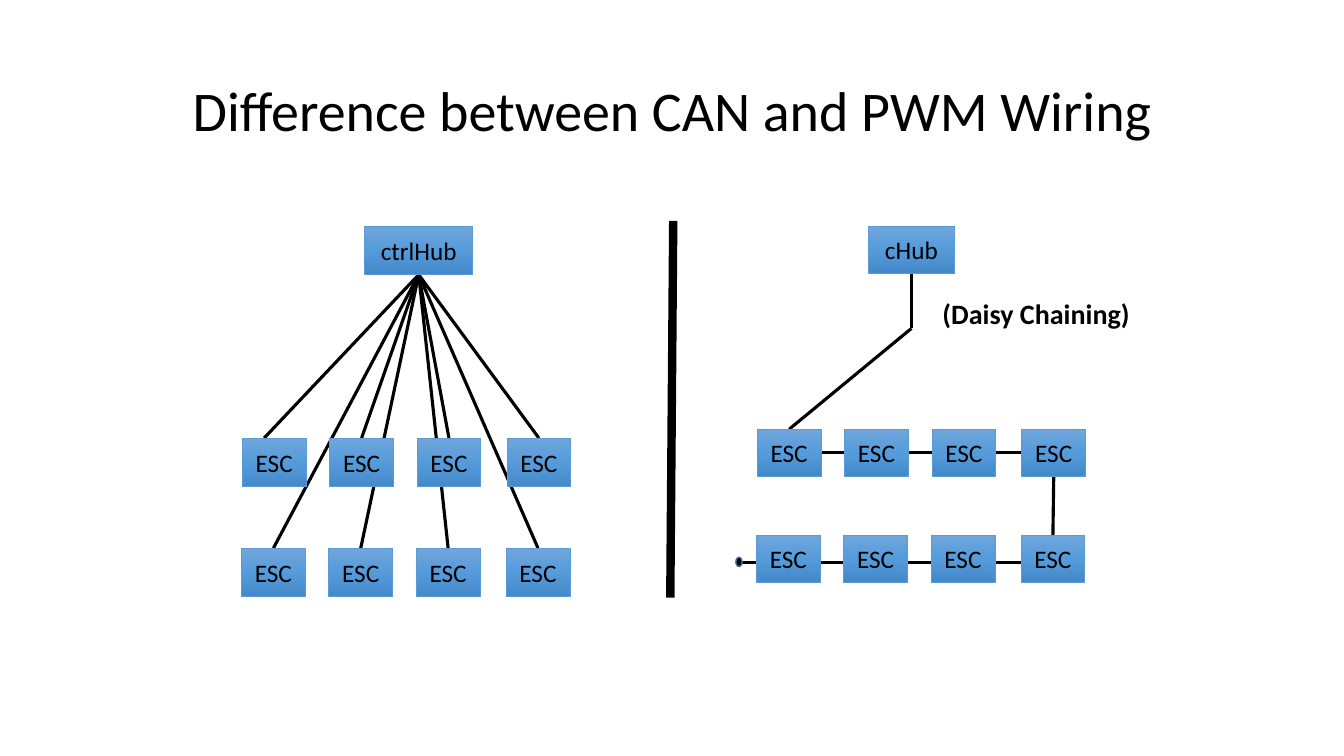
from copy import deepcopy
from dataclasses import dataclass

from lxml.etree import SubElement
from pptx import Presentation
from pptx.dml.color import RGBColor
from pptx.enum.shapes import MSO_CONNECTOR, MSO_SHAPE
from pptx.enum.text import MSO_ANCHOR, PP_ALIGN
from pptx.oxml.ns import qn
from pptx.shapes.autoshape import Shape
from pptx.shapes.connector import Connector
from pptx.slide import Slide
from pptx.util import Inches, Pt

SLIDE_WIDTH, SLIDE_HEIGHT = Inches(13.33), Inches(7.5)
COLUMN, ROW = SLIDE_WIDTH / 160, SLIDE_HEIGHT / 90
FONT = "Calibri"
COLORS = {
    "black": "000000",
    "gradient_top": "71A6DB",
    "gradient_middle": "559BDB",
    "gradient_bottom": "448ACA",
    "box_line": "5B9BD5",
    "dot_line": "43739E",
}
TOP, LEFT, BOTTOM, RIGHT = range(4)
CONTROLLER_OFFSETS = (0, 10.4, 20.8, 31.5)
CONTROLLER_WIDTH = 7.6


@dataclass(frozen=True)
class Area:
    column: float
    row: float
    columns: float
    rows: float


@dataclass(frozen=True)
class Point:
    column: float
    row: float


@dataclass(frozen=True)
class Joint:
    shape: Shape
    side: int


@dataclass(frozen=True)
class Panel:
    hub_name: str
    hub: Area
    first_column: float
    first_rows: tuple[float, float]


@dataclass(frozen=True)
class PanelShapes:
    hub: Shape
    upper: list[Shape]
    lower: list[Shape]


PWM = Panel("ctrlHub", Area(43.4, 26.9, 12.9, 5.8), 28.85, (52.15, 65.25))
CAN = Panel("cHub", Area(103.35, 26.9, 10.3, 5.6), 90.15, (51.1, 63.7))


def rgb(name: str) -> RGBColor:
    return RGBColor.from_string(COLORS[name])


def place(area: Area) -> tuple[int, int, int, int]:
    return (round(area.column * COLUMN), round(area.row * ROW),
            round(area.columns * COLUMN), round(area.rows * ROW))


def write(shape: Shape, text: str, size: float, bold: bool = False) -> None:
    text_frame = shape.text_frame
    text_frame.word_wrap = True
    text_frame.text = text
    paragraph = text_frame.paragraphs[0]
    paragraph.alignment = PP_ALIGN.CENTER
    font = paragraph.runs[0].font
    font.name, font.size, font.bold = FONT, Pt(size), bold
    font.color.rgb = rgb("black")


def add_text(slide: Slide, area: Area, text: str, size: float, bold: bool = False) -> Shape:
    shape = slide.shapes.add_textbox(*place(area))
    write(shape, text, size, bold)
    return shape


def fill_gradient(shape: Shape) -> None:
    shape.fill.gradient()
    shape.fill.gradient_angle = 270
    stop_list = shape.element.find(".//" + qn("a:gsLst"))
    stop_list.append(deepcopy(stop_list[-1]))
    names = ("gradient_top", "gradient_middle", "gradient_bottom")
    for index, (stop, name) in enumerate(zip(shape.fill.gradient_stops, names)):
        stop.position = index / 2
        stop.color.rgb = rgb(name)


def add_box(slide: Slide, area: Area, text: str) -> Shape:
    shape = slide.shapes.add_shape(MSO_SHAPE.RECTANGLE, *place(area))
    shape.shadow.inherit = False
    fill_gradient(shape)
    shape.line.color.rgb = rgb("box_line")
    shape.line.width = Pt(0.5)
    write(shape, text, 18)
    shape.text_frame.vertical_anchor = MSO_ANCHOR.MIDDLE
    return shape


def add_panel(slide: Slide, panel: Panel) -> PanelShapes:
    upper, lower = (
        [add_box(slide, Area(panel.first_column + offset - shift, row,
                             CONTROLLER_WIDTH, panel.hub.rows), "ESC")
         for offset in CONTROLLER_OFFSETS]
        for row, shift in zip(panel.first_rows, (0, 0.1))
    )
    return PanelShapes(add_box(slide, panel.hub, panel.hub_name), upper, lower)


def add_wire(slide: Slide, start: Point | Joint, end: Point | Joint,
             width: float = 2.25) -> Connector:
    ends = [round(length) for point in (start, end)
            for length in ((point.column * COLUMN, point.row * ROW)
                           if isinstance(point, Point) else (0, 0))]
    connector = slide.shapes.add_connector(MSO_CONNECTOR.STRAIGHT, *ends)
    if isinstance(start, Joint):
        connector.begin_connect(start.shape, start.side)
    if isinstance(end, Joint):
        connector.end_connect(end.shape, end.side)
    connector.line.color.rgb = rgb("black")
    connector.line.width = Pt(width)
    SubElement(connector.element.spPr, qn("a:effectLst"))
    return connector


def add_star_wires(slide: Slide, panel: PanelShapes) -> list[Connector]:
    hub = Joint(panel.hub, BOTTOM)
    joined = panel.upper[1:] + panel.lower
    ends = [Point(31.45, PWM.first_rows[0])] + [Joint(box, TOP) for box in joined]
    return [add_wire(slide, hub, end) for end in ends]


def add_chain_wires(slide: Slide, panel: PanelShapes) -> list[Connector]:
    bend, lower_row = Point(108.5, 39.1), 66.95
    routes = [
        (Joint(panel.hub, BOTTOM), bend),
        (bend, Joint(panel.upper[0], TOP)),
        (Joint(panel.upper[0], RIGHT), Joint(panel.upper[-1], LEFT)),
        (Joint(panel.upper[-1], BOTTOM), Joint(panel.lower[-1], TOP)),
        (Point(97.7, lower_row), Point(121.6, lower_row)),
        (Point(87.6, lower_row), Point(92.8, lower_row)),
    ]
    return [add_wire(slide, start, end) for start, end in routes]


def add_chain_end(slide: Slide) -> None:
    dot = slide.shapes.add_shape(MSO_SHAPE.OVAL, *place(Area(87.6, 66.35, 0.75, 1.1)))
    dot.shadow.inherit = False
    dot.fill.solid()
    dot.fill.fore_color.rgb = rgb("black")
    dot.line.color.rgb = rgb("dot_line")
    dot.line.width = Pt(1)


def main() -> None:
    presentation = Presentation()
    presentation.slide_width, presentation.slide_height = SLIDE_WIDTH, SLIDE_HEIGHT
    slide = presentation.slides.add_slide(presentation.slide_layouts[6])

    title = add_text(slide, Area(11, 4.8, 138, 17.4),
                     "Difference between CAN and PWM Wiring", 40)
    title.text_frame.vertical_anchor = MSO_ANCHOR.MIDDLE
    title.text_frame.paragraphs[0].line_spacing = 0.9

    star, chain = add_panel(slide, PWM), add_panel(slide, CAN)
    for wire in add_star_wires(slide, star) + add_chain_wires(slide, chain):
        star.upper[0].element.addprevious(wire.element)
    add_chain_end(slide)

    add_wire(slide, Point(80.15, 26.3), Point(79.8, 71.15), 6)
    add_text(slide, Area(103, 34.75, 40.7, 5.3), "(Daisy Chaining)", 20, True)
    presentation.save("out.pptx")


if __name__ == "__main__":
    main()
